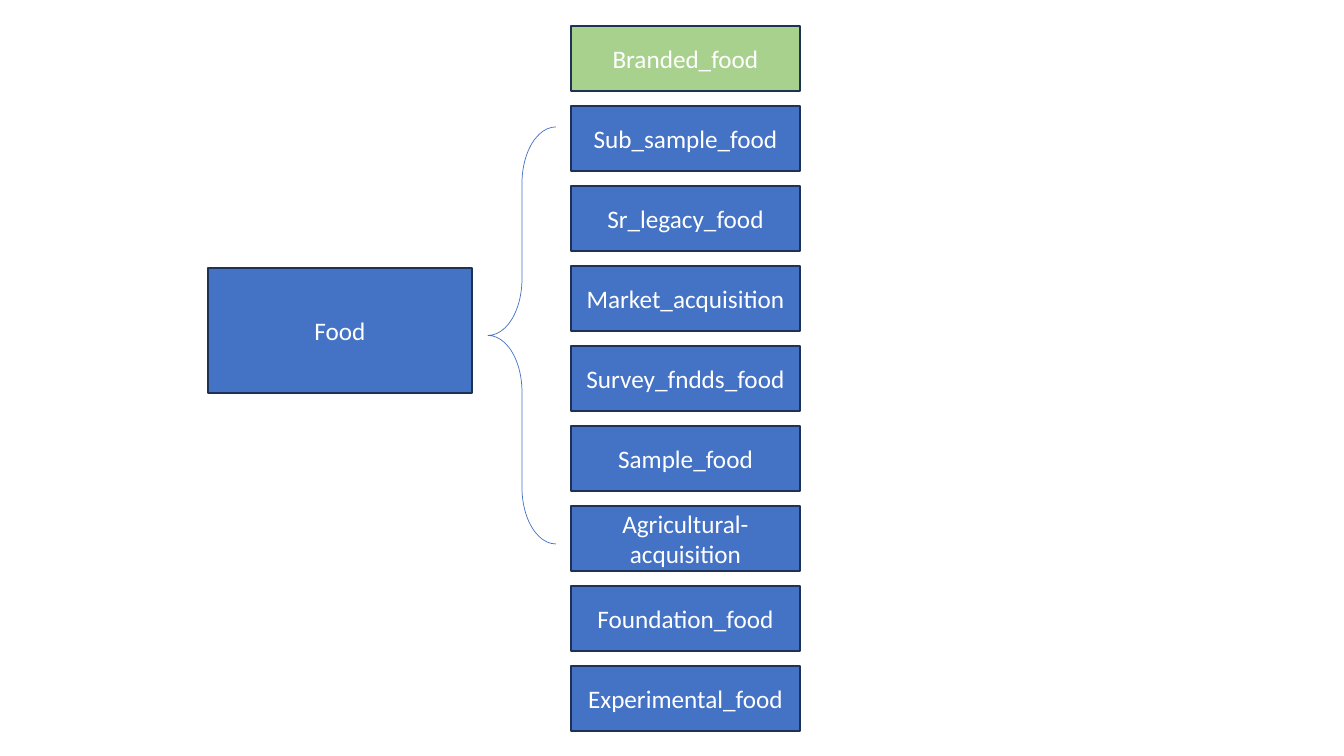
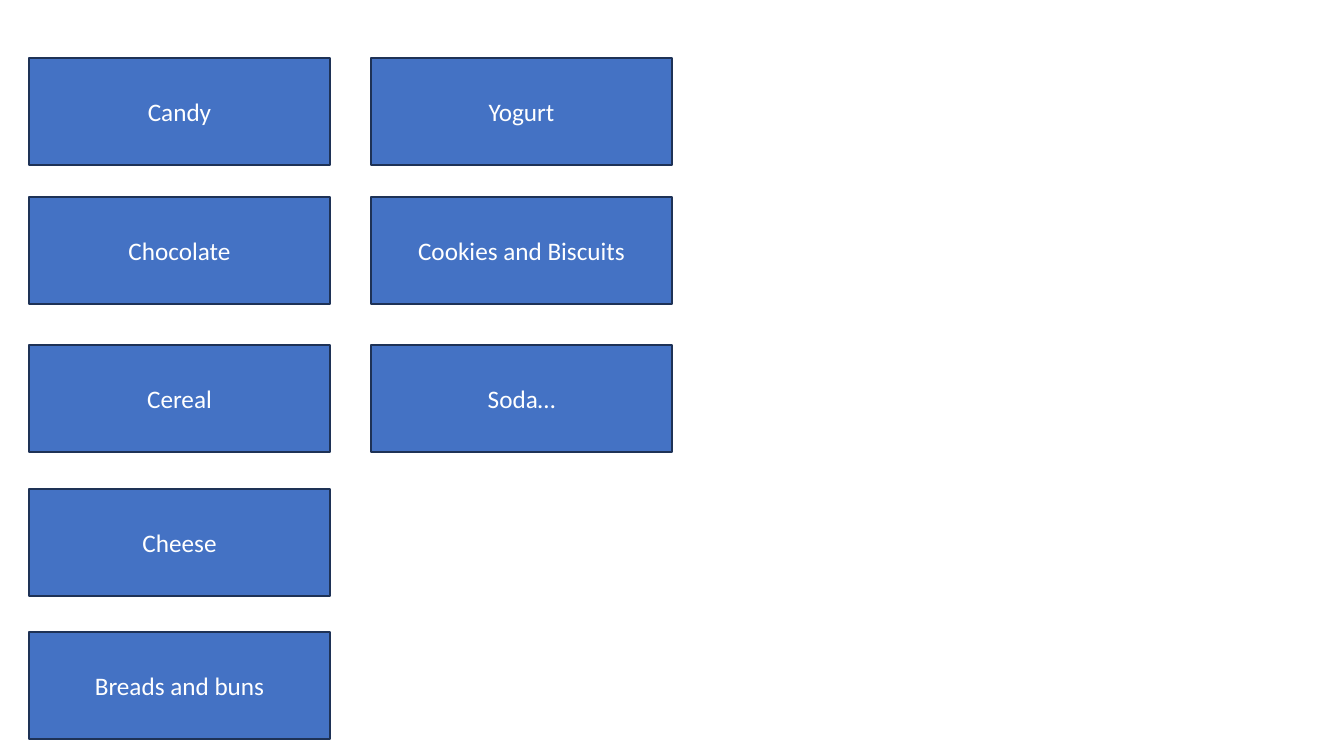
from pptx import Presentation
from pptx.dml.color import RGBColor
from pptx.enum.shapes import MSO_SHAPE
from pptx.enum.text import MSO_ANCHOR, PP_ALIGN
from pptx.util import Pt

RECTANGLE, LEFT_BRACE = MSO_SHAPE.RECTANGLE, MSO_SHAPE.LEFT_BRACE
MIDDLE, CENTER = MSO_ANCHOR.MIDDLE, PP_ALIGN.CENTER

BLUE = RGBColor(0x44, 0x72, 0xC4)
GREEN = RGBColor(0xA9, 0xD1, 0x8E)
NAVY = RGBColor(0x1E, 0x32, 0x56)
WHITE = RGBColor(0xFF, 0xFF, 0xFF)
FONT = "Calibri"

PX_PER_INCH = 100.8
SLIDE_SIZE = (1344, 756)

# Food tables: one parent and its children
PARENT = "Food"
CHILDREN = [
    "Branded_food", "Sub_sample_food", "Sr_legacy_food",
    "Market_acquisition", "Survey_fndds_food", "Sample_food",
    "Agricultural-acquisition", "Foundation_food", "Experimental_food",
]
HIGHLIGHTED = "Branded_food"
PARENT_BOX = (208, 268, 264, 125)
BRACE_BOX = (488, 127, 68, 417)
BRACE_CURVE = 0.83
CHILD_LEFT, CHILD_TOP, CHILD_PITCH = 571, 26, 80
CHILD_SIZE = (229, 65)

# Food categories: one list per column
CATEGORY_COLUMNS = [
    ["Candy", "Chocolate", "Cereal", "Cheese", "Breads and buns"],
    ["Yogurt", "Cookies and Biscuits", "Soda…"],
]
CATEGORY_LEFTS = [29, 371]
CATEGORY_TOPS = [58, 197, 345, 489, 632]
CATEGORY_SIZE = (301, 107)


def px(length):
    return round(length * 914400 / PX_PER_INCH)


def add_plain_shape(slide, kind, box, line_color, line_width):
    shape = slide.shapes.add_shape(kind, *map(px, box))
    shape.shadow.inherit = False
    shape.line.color.rgb = line_color
    shape.line.width = Pt(line_width)
    return shape


def write_text(shape, text, size=18, color=WHITE):
    frame = shape.text_frame
    frame.word_wrap = True
    frame.vertical_anchor = MIDDLE
    paragraph = frame.paragraphs[0]
    paragraph.alignment = CENTER
    run = paragraph.add_run()
    run.text = text
    run.font.name = FONT
    run.font.size = Pt(size)
    run.font.color.rgb = color


def add_label_box(slide, text, box, fill=BLUE):
    shape = add_plain_shape(slide, RECTANGLE, box, NAVY, 1)
    shape.fill.solid()
    shape.fill.fore_color.rgb = fill
    write_text(shape, text)


def build_tables_slide(slide):
    add_label_box(slide, PARENT, PARENT_BOX)
    brace = add_plain_shape(slide, LEFT_BRACE, BRACE_BOX, BLUE, 0.5)
    brace.fill.background()
    brace.adjustments[0] = BRACE_CURVE
    for row, name in enumerate(CHILDREN):
        box = (CHILD_LEFT, CHILD_TOP + row * CHILD_PITCH, *CHILD_SIZE)
        add_label_box(slide, name, box, GREEN if name == HIGHLIGHTED else BLUE)


def build_categories_slide(slide):
    for left, names in zip(CATEGORY_LEFTS, CATEGORY_COLUMNS):
        for top, name in zip(CATEGORY_TOPS, names):
            add_label_box(slide, name, (left, top, *CATEGORY_SIZE))


def main():
    presentation = Presentation()
    presentation.slide_width, presentation.slide_height = map(px, SLIDE_SIZE)
    blank = presentation.slide_layouts[6]
    for build in (build_tables_slide, build_categories_slide):
        build(presentation.slides.add_slide(blank))
    presentation.save("out.pptx")


if __name__ == "__main__":
    main()
